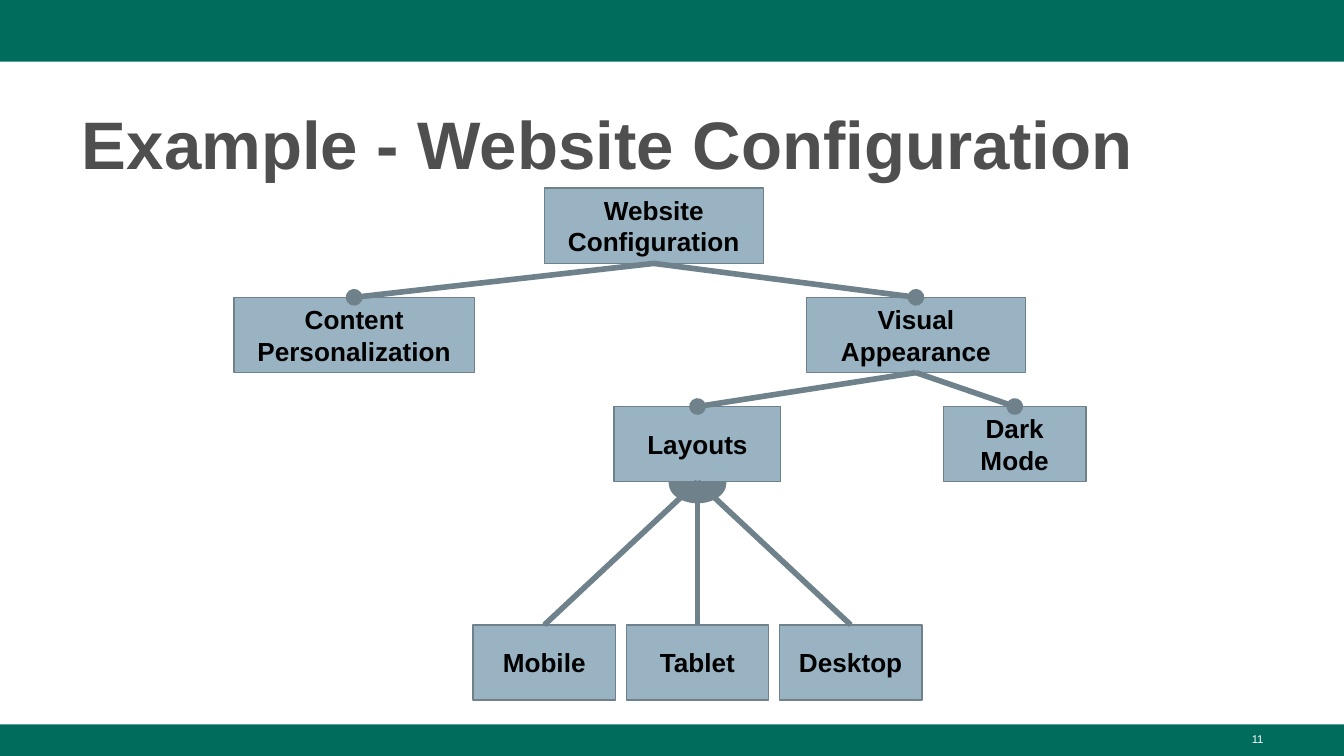
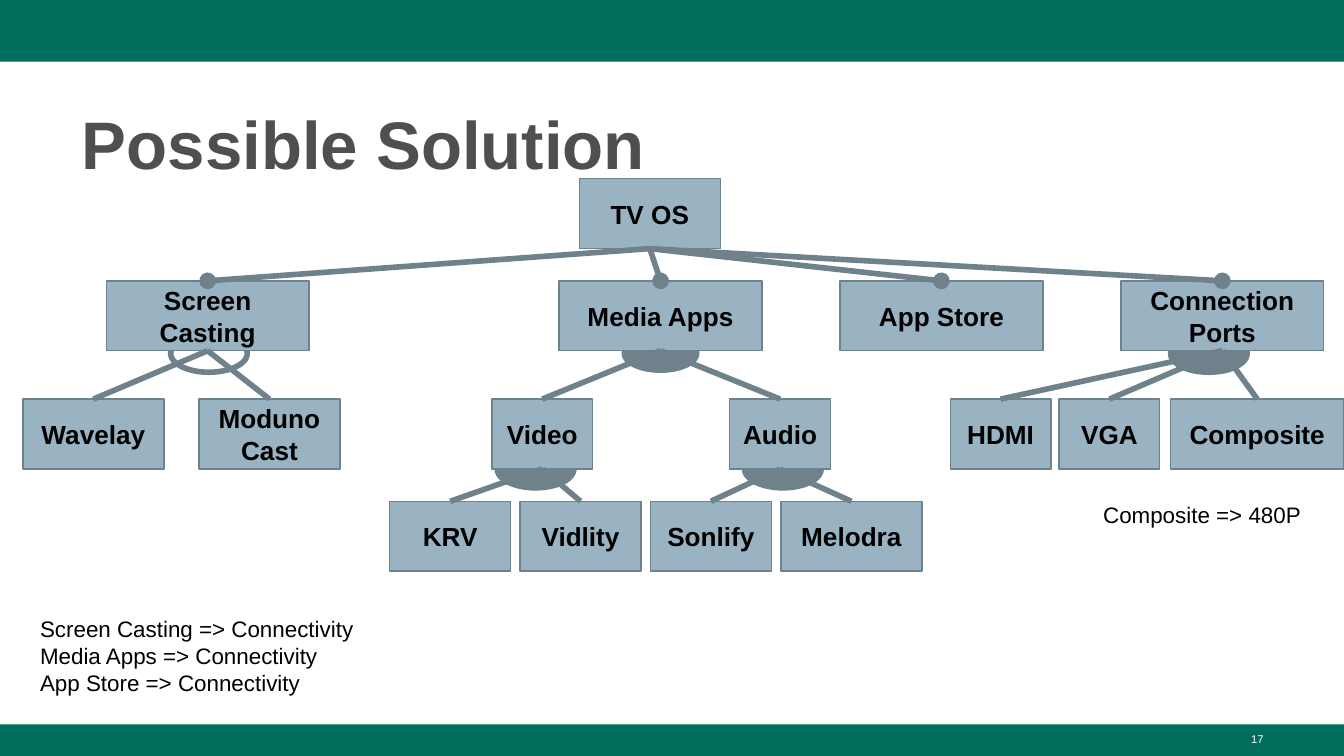
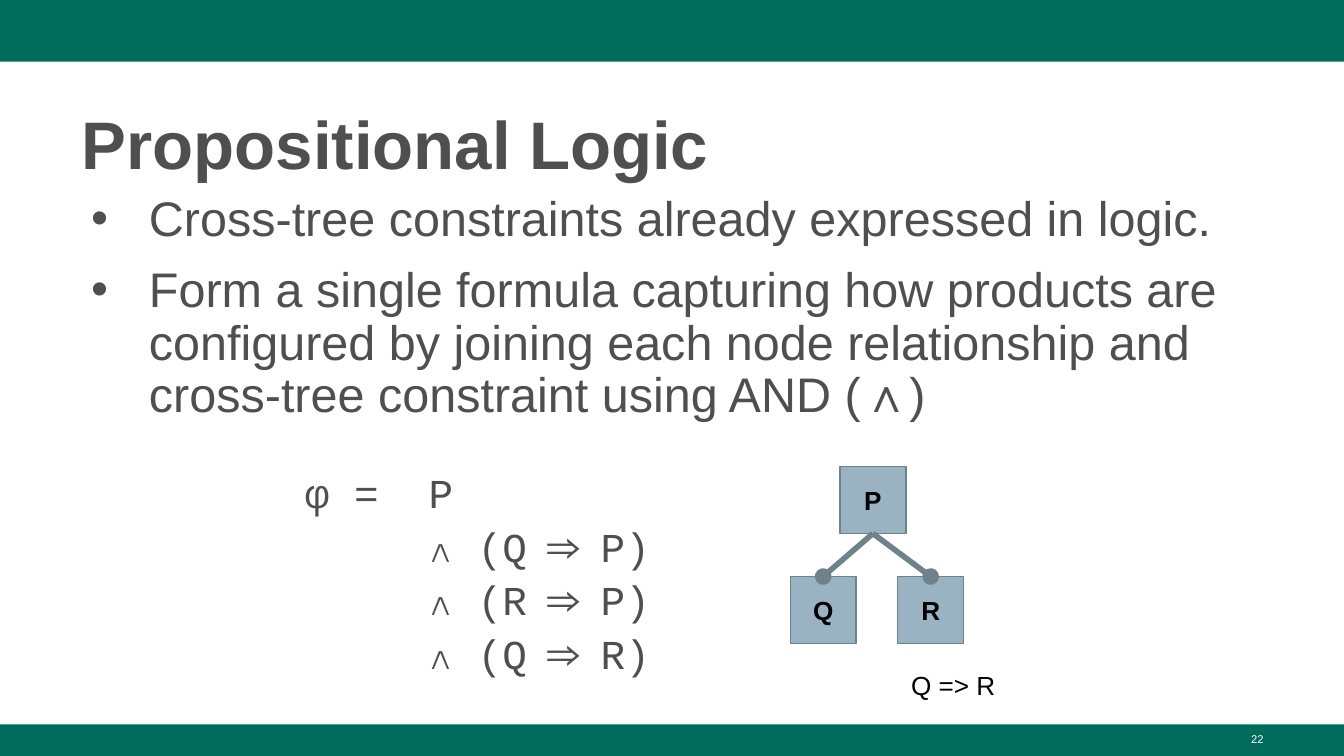
import pptx
import pptx.util
import pptx.oxml
import pptx.oxml.ns
import pptx.dml.color
import pptx.enum.shapes
import pptx.enum.text

GREEN = pptx.dml.color.RGBColor(0x00, 0x6C, 0x5C)
BLUE = pptx.dml.color.RGBColor(0x99, 0xB3, 0xC2)
SLATE = pptx.dml.color.RGBColor(0x6F, 0x82, 0x8C)
GREY = pptx.dml.color.RGBColor(0x4F, 0x4F, 0x4F)
BLACK = pptx.dml.color.RGBColor(0, 0, 0)
WHITE = pptx.dml.color.RGBColor(255, 255, 255)

Inches = pptx.util.Inches
Pt = pptx.util.Pt
SHAPE = pptx.enum.shapes.MSO_SHAPE
ANCHOR = pptx.enum.text.MSO_ANCHOR
ALIGN = pptx.enum.text.PP_ALIGN
NAMESPACE = pptx.oxml.ns.nsdecls("a")
qualified = pptx.oxml.ns.qn

WIDTH = 10
HEIGHT = WIDTH * 9 / 16
MARGIN, CONTENT_WIDTH = 0.51, 8.99
TITLE_TOP, BODY_TOP = 0.68, 1.4
FOOTER_TOP = 5.39


def write(box, lines, size, color=BLACK, bold=False, align=ALIGN.LEFT,
          anchor=ANCHOR.TOP, inset=0.1, spacing=None, before=0, font="Arial"):
    """Fill a box with equally formatted paragraphs and return them."""
    frame = box.text_frame
    frame.word_wrap = True
    frame.auto_size = pptx.enum.text.MSO_AUTO_SIZE.NONE
    frame.vertical_anchor = anchor
    frame.margin_left = frame.margin_right = Inches(0.1)
    frame.margin_top = frame.margin_bottom = Inches(inset)
    frame.text = "\n".join(lines)
    for index, paragraph in enumerate(frame.paragraphs):
        paragraph.alignment = align
        paragraph.line_spacing = spacing
        paragraph.space_before = Pt(before if index else 0)
        paragraph.font.name = font
        paragraph.font.size = Pt(size)
        paragraph.font.bold = bold
        paragraph.font.color.rgb = color
    return frame.paragraphs


def add_shape(page, kind, area, fill, line=None, line_width=0.75):
    """Add a preset shape without shadow; no fill or line where None."""
    shape = page.shapes.add_shape(kind, *map(Inches, area))
    shape.shadow.inherit = False
    if fill is None:
        shape.fill.background()
    else:
        shape.fill.solid()
        shape.fill.fore_color.rgb = fill
    if line is None:
        shape.line.fill.background()
    else:
        shape.line.color.rgb = line
        shape.line.width = Pt(line_width)
    return shape


deck = pptx.Presentation()
deck.slide_width, deck.slide_height = Inches(WIDTH), Inches(HEIGHT)

# Shared frame: bands, page number and title
pages = []
for title, number in [("Example - Website Configuration", "11"),
                      ("Possible Solution", "17"),
                      ("Propositional Logic", "22")]:
    page = deck.slides.add_slide(deck.slide_layouts[5])
    add_shape(page, SHAPE.RECTANGLE, (0, 0, WIDTH, 0.46), GREEN)
    add_shape(page, SHAPE.RECTANGLE,
              (0, FOOTER_TOP, WIDTH, HEIGHT - FOOTER_TOP), GREEN)
    box = page.shapes.add_textbox(*map(Inches, (7.17, 5.4, 2.33, 0.23)))
    write(box, [number], 6, WHITE, align=ALIGN.RIGHT, inset=0.05)
    heading = page.shapes.title
    heading.left, heading.top = Inches(MARGIN), Inches(TITLE_TOP)
    heading.width, heading.height = Inches(CONTENT_WIDTH), Inches(0.73)
    write(heading, [title], 36, GREY, bold=True, anchor=ANCHOR.BOTTOM,
          inset=0.05, spacing=1.08)
    pages.append(page)

# Feature trees: nodes are (label, row, left, width, parent);
# links into the first optional_rows rows end in a dot
website = dict(
    row_tops=[BODY_TOP + 3.25 * row / 4 for row in (0, 1, 2, 4)],
    node_height=0.56, optional_rows=2,
    arcs=[(4.98, 3.45, 0.42, 0.29, SLATE, 0.75)],
    nodes=[
        ("Website Configuration", 0, 4.05, 1.63, None),
        ("Content Personalization", 1, 1.74, 1.79, "Website Configuration"),
        ("Visual Appearance", 1, 6, 1.63, "Website Configuration"),
        ("Layouts", 2, 4.57, 1.24, "Visual Appearance"),
        ("Dark Mode", 2, 7.02, 1.06, "Visual Appearance"),
        ("Mobile", 3, 3.52, 1.06, "Layouts"),
        ("Tablet", 3, 4.66, 1.06, "Layouts"),
        ("Desktop", 3, 5.8, 1.06, "Layouts"),
    ])
television = dict(
    row_tops=[1.33, 2.09, 2.97, 3.73], node_height=0.52, optional_rows=1,
    arcs=[
        (8.71, 2.49, 0.57, 0.28, SLATE, 3),
        (3.7, 3.35, 0.57, 0.28, SLATE, 3),
        (5.54, 3.35, 0.57, 0.28, SLATE, 3),
        (4.63, 2.49, 0.57, 0.28, SLATE, 0.75),
        (1.27, 2.49, 0.57, 0.28, None, 3),
    ],
    nodes=[
        ("TV OS", 0, 4.31, 1.05, None),
        ("Screen Casting", 1, 0.79, 1.51, "TV OS"),
        ("Media Apps", 1, 4.16, 1.51, "TV OS"),
        ("App Store", 1, 6.25, 1.51, "TV OS"),
        ("Connection Ports", 1, 8.34, 1.51, "TV OS"),
        ("Wavelay", 2, 0.17, 1.05, "Screen Casting"),
        ("ModunoCast", 2, 1.48, 1.05, "Screen Casting"),
        ("Video", 2, 3.66, 0.75, "Media Apps"),
        ("Audio", 2, 5.43, 0.75, "Media Apps"),
        ("HDMI", 2, 7.07, 0.75, "Connection Ports"),
        ("VGA", 2, 7.88, 0.75, "Connection Ports"),
        ("Composite", 2, 8.71, 1.29, "Connection Ports"),
        ("KRV", 3, 2.9, 0.9, "Video"),
        ("Vidlity", 3, 3.87, 0.9, "Video"),
        ("Sonlify", 3, 4.84, 0.9, "Audio"),
        ("Melodra", 3, 5.81, 1.05, "Audio"),
    ])
logic = dict(
    row_tops=[3.47, 4.29], node_height=0.5, optional_rows=1, arcs=[],
    nodes=[
        ("P", 0, 6.25, 0.49, None),
        ("Q", 1, 5.88, 0.49, "P"),
        ("R", 1, 6.68, 0.49, "P"),
    ])

for page, tree in zip(pages, (website, television, logic)):
    for *area, fill, line_width in tree["arcs"]:
        add_shape(page, SHAPE.OVAL, area, fill, SLATE, line_width)
    boxes = {}
    for label, row, left, width, parent in tree["nodes"]:
        area = (left, tree["row_tops"][row], width, tree["node_height"])
        boxes[label] = add_shape(page, SHAPE.RECTANGLE, area, BLUE, SLATE)
        write(boxes[label], [label], 14, bold=True, align=ALIGN.CENTER,
              anchor=ANCHOR.MIDDLE)
    for label, row, left, width, parent in tree["nodes"]:
        if parent is None:
            continue
        link = page.shapes.add_connector(
            pptx.enum.shapes.MSO_CONNECTOR.STRAIGHT, 0, 0, 0, 0)
        link.begin_connect(boxes[parent], 2)
        link.end_connect(boxes[label], 0)
        link.line.color.rgb = SLATE
        link.line.width = Pt(3)
        properties = link._element.spPr
        if row <= tree["optional_rows"]:
            properties.find(qualified("a:ln")).append(
                pptx.oxml.parse_xml(f'<a:tailEnd {NAMESPACE} type="oval"/>'))
        properties.append(pptx.oxml.parse_xml(f"<a:effectLst {NAMESPACE}/>"))

# Cross-tree constraints
for page, area, size, lines in [
        (pages[1], (0.2, 4.48, 2.7, 0.81), 12,
         [f"{feature} => Connectivity"
          for feature in ("Screen Casting", "Media Apps", "App Store")]),
        (pages[1], (8.11, 3.63, 1.8, 0.4), 12, ["Composite => 480P"]),
        (pages[2], (6.68, 4.88, 0.95, 0.44), 14, ["Q => R"])]:
    write(page.shapes.add_textbox(*map(Inches, area)), lines, size)

# Bulleted explanation
box = pages[2].shapes.add_textbox(
    *map(Inches, (MARGIN, BODY_TOP, CONTENT_WIDTH, 2.19)))
bullets = write(box, [
    "Cross-tree constraints already expressed in logic.",
    "Form a single formula capturing how products are configured by joining "
    "each node relationship and cross-tree constraint using AND (∧)",
], 26, GREY, inset=0.05, spacing=0.9, before=10)
for paragraph in bullets:
    properties = paragraph._p.get_or_add_pPr()
    properties.set("marL", str(Inches(0.5)))
    properties.set("indent", str(Inches(-0.43)))
    run_defaults = properties.find(qualified("a:defRPr"))
    for element in (
            f'<a:buClr {NAMESPACE}><a:srgbClr val="{GREY}"/></a:buClr>',
            f'<a:buFont {NAMESPACE} typeface="Arial"/>',
            f'<a:buChar {NAMESPACE} char="•"/>'):
        run_defaults.addprevious(pptx.oxml.parse_xml(element))

# Formula, with its terms aligned five characters in
TERM_INDENT = Inches(0.92)
box = pages[2].shapes.add_textbox(*map(Inches, (2.17, 3.42, 3.82, 1.75)))
first, *terms = write(
    box, ["φ =\tP", "∧ (Q ⇒ P)", "∧ (R ⇒ P)", "∧ (Q ⇒ R)"], 22, GREY,
    spacing=0.9, before=5, font="Courier New")
first._p.get_or_add_pPr().find(qualified("a:defRPr")).addprevious(
    pptx.oxml.parse_xml(
        f'<a:tabLst {NAMESPACE}>'
        f'<a:tab pos="{TERM_INDENT}" algn="l"/></a:tabLst>'))
for paragraph in terms:
    paragraph._p.get_or_add_pPr().set("marL", str(TERM_INDENT))

deck.save("out.pptx")
